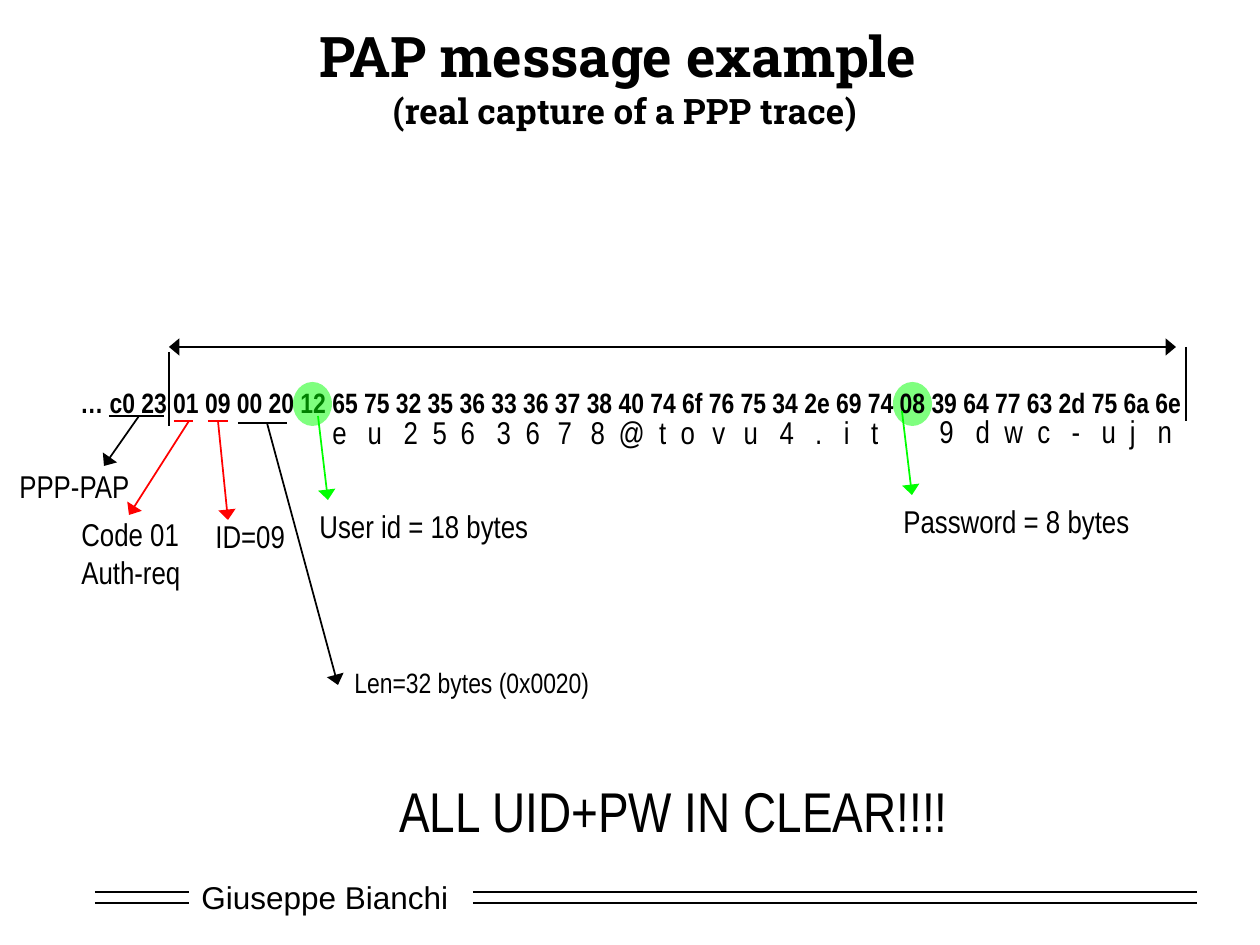
from lxml import etree
from pptx import Presentation
from pptx.dml.color import RGBColor
from pptx.enum.shapes import MSO_CONNECTOR, MSO_SHAPE
from pptx.enum.text import MSO_ANCHOR, PP_ALIGN
from pptx.oxml.ns import qn
from pptx.util import Emu, Pt

STRAIGHT = MSO_CONNECTOR.STRAIGHT
OVAL = MSO_SHAPE.OVAL
MIDDLE = MSO_ANCHOR.MIDDLE
CENTER = PP_ALIGN.CENTER
SCALE = 914400 // 126
COLORS = {"black": "000000", "red": "FF0000", "green": "00FF00", "white": "FFFFFF"}
NARROW = "Arial Narrow"
HEX_DUMP = ("… c0 23 01 09 00 20 12 65 75 32 35 36 33 36 37 38 40 74 6f 76 75 34 "
            "2e 69 74 08 39 64 77 63 2d 75 6a 6e")
USER_ID = "eu2563678@tovu4.it"
USER_ID_CENTERS = [375, 411, 440, 468, 504, 533, 565, 598, 632,
                   663, 688, 719, 751, 787, 819, 847, 875]
PASSWORD = "9dwc-ujn"
PASSWORD_CENTERS = [983, 1014, 1044, 1076, 1109, 1133, 1165]


def px(value):
    """Turn pixels into EMU."""
    return Emu(value * SCALE)


def color(name):
    """Look up a named colour."""
    return RGBColor.from_string(COLORS[name])


def add_text(slide, box, text, size=18, font=NARROW, bold=False, wrap=False):
    """Add a black text box and return it."""
    shape = slide.shapes.add_textbox(*map(px, box))
    frame = shape.text_frame
    frame.word_wrap = wrap
    frame.text = text
    for paragraph in frame.paragraphs:
        for run in paragraph.runs:
            run.font.size = Pt(size)
            run.font.name = font
            run.font.bold = bold
            run.font.color.rgb = color("black")
    return shape


def add_line(slide, start, end, line_color="black", heads=()):
    """Add a thin straight line with optional wide triangle heads."""
    line = slide.shapes.add_connector(STRAIGHT, *map(px, start + end))
    line.line.width = Pt(1)
    line.line.color.rgb = color(line_color)
    outline = line._element.spPr.find(qn("a:ln"))
    for head in heads:
        etree.SubElement(outline, qn(f"a:{head}"), type="triangle", w="lg", len="med")
    etree.SubElement(line._element.spPr, qn("a:effectLst"))


def add_highlight(slide, left):
    """Add a half-transparent green oval over a length byte."""
    oval = slide.shapes.add_shape(OVAL, px(left), px(382), px(39), px(44))
    oval.shadow.inherit = False
    oval.fill.solid()
    oval.fill.fore_color.rgb = color("green")
    fill = oval._element.spPr.find(qn("a:solidFill"))
    etree.SubElement(fill[0], qn("a:alpha"), val="50000")
    oval.line.fill.background()


def add_decoded(slide, box, letters, centers):
    """Add decoded letters, each centred on a tab stop below its byte."""
    shape = add_text(slide, box, "\t".join(letters), wrap=True)
    properties = shape.text_frame.paragraphs[0]._p.get_or_add_pPr()
    tabs = etree.SubElement(properties, qn("a:tabLst"))
    origin = px(box[0]) + shape.text_frame.margin_left
    for center in centers:
        etree.SubElement(tabs, qn("a:tab"), pos=str(px(center) - origin), algn="ctr")


def add_title(slide):
    """Add the two-line title."""
    shape = add_text(slide, (95, 32, 1060, 89),
                     "PAP message example \v(real capture of a PPP trace)",
                     32, "Roboto Slab", True, True)
    shape.text_frame.vertical_anchor = MIDDLE
    paragraph = shape.text_frame.paragraphs[0]
    paragraph.alignment = CENTER
    paragraph.runs[1].font.size = Pt(20)


def add_footer(slide):
    """Add the author name between double rules."""
    author = add_text(slide, (189, 872, 273, 50), "Giuseppe Bianchi", font="Arial", wrap=True)
    author.text_frame.vertical_anchor = MIDDLE
    author.fill.solid()
    author.fill.fore_color.rgb = color("white")
    for y in (892, 903):
        for left, right in ((95, 189), (473, 1197)):
            add_line(slide, (left, y), (right, y))


def add_dump(slide):
    """Add the hex bytes with a hanging indent."""
    shape = add_text(slide, (68, 379, 1128, 47), HEX_DUMP, 16, bold=True, wrap=True)
    properties = shape.text_frame.paragraphs[0]._p.get_or_add_pPr()
    properties.set("marL", str(px(63)))
    properties.set("indent", str(px(-63)))


def add_field(slide, left, right, y, start_x, tip, line_color="black"):
    """Underline a field and point an arrow from it to its label."""
    add_line(slide, (left, y), (right, y), line_color)
    add_line(slide, (start_x, y), tip, line_color, ("tailEnd",))


def main():
    """Build and save the slide."""
    presentation = Presentation()
    presentation.slide_width, presentation.slide_height = px(1260), px(945)
    slide = presentation.slides.add_slide(presentation.slide_layouts[6])
    add_footer(slide)
    add_highlight(slide, 893)
    add_title(slide)
    add_dump(slide)
    add_highlight(slide, 293)

    for field in (
        (109, 164, 416, 139, (104, 466)),
        (174, 193, 421, 189, (129, 515), "red"),
        (208, 228, 421, 218, (228, 520), "red"),
        (238, 287, 423, 267, (338, 685)),
    ):
        add_field(slide, *field)
    for start, tip in (((318, 416), (328, 500)), ((902, 411), (912, 495))):
        add_line(slide, start, tip, "green", ("tailEnd",))

    add_line(slide, (169, 347), (1176, 347), heads=("headEnd", "tailEnd"))
    add_line(slide, (169, 352), (169, 426))
    add_line(slide, (1186, 347), (1186, 421))

    for box, text, size in (
        ((7, 461, 137, 50), "PPP-PAP", 18),
        ((69, 509, 125, 88), "Code 01\nAuth-req", 18),
        ((203, 511, 96, 50), "ID=09", 18),
        ((307, 501, 234, 50), "User id = 18 bytes", 18),
        ((891, 496, 252, 50), "Password = 8 bytes", 18),
        ((342, 659, 260, 47), "Len=32 bytes (0x0020)", 16),
        ((387, 770, 576, 79), "ALL UID+PW IN CLEAR!!!!", 32),
    ):
        add_text(slide, box, text, size)
    add_decoded(slide, (320, 407, 582, 50), USER_ID, USER_ID_CENTERS)
    add_decoded(slide, (927, 406, 258, 50), PASSWORD, PASSWORD_CENTERS)
    presentation.save("out.pptx")


main()
